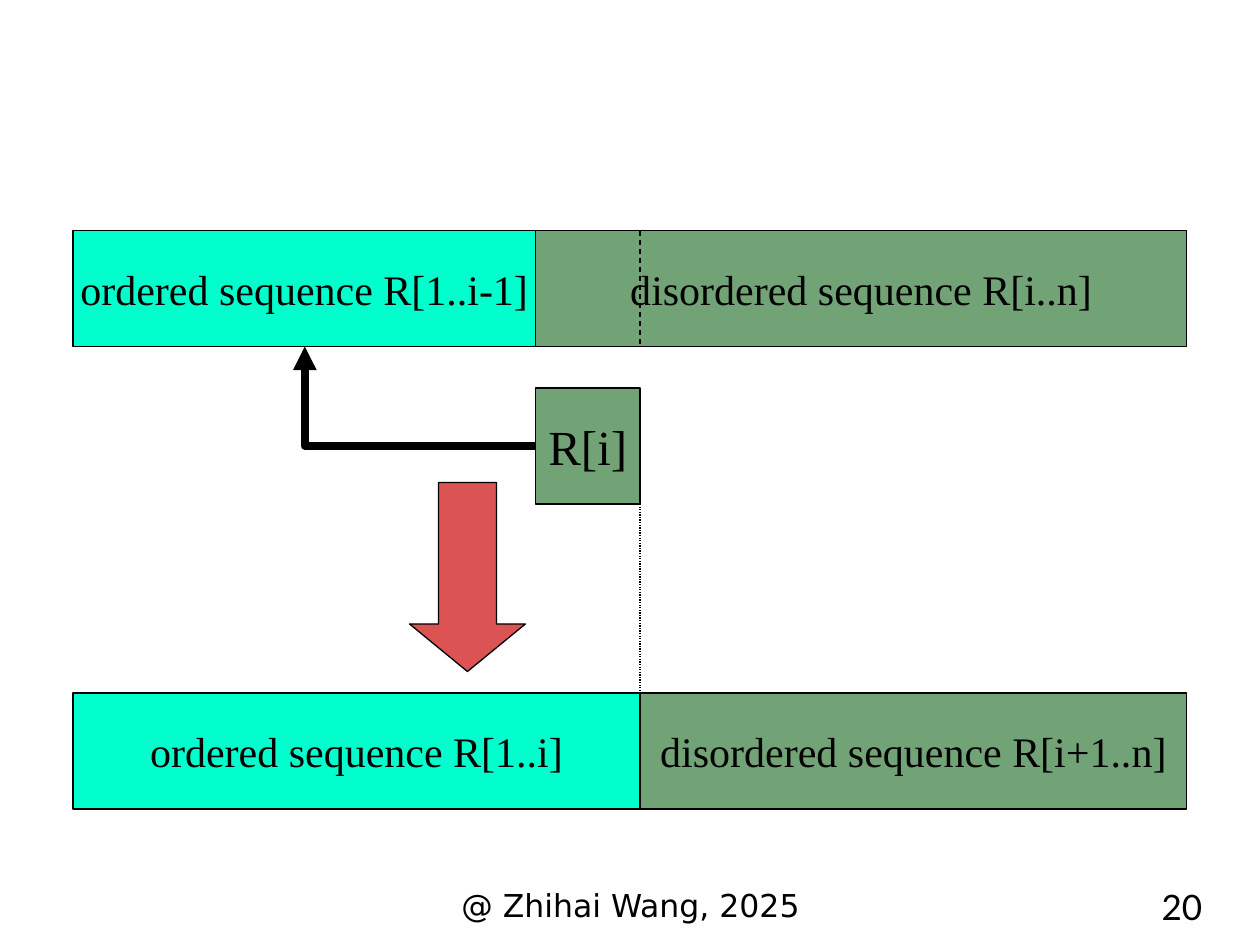
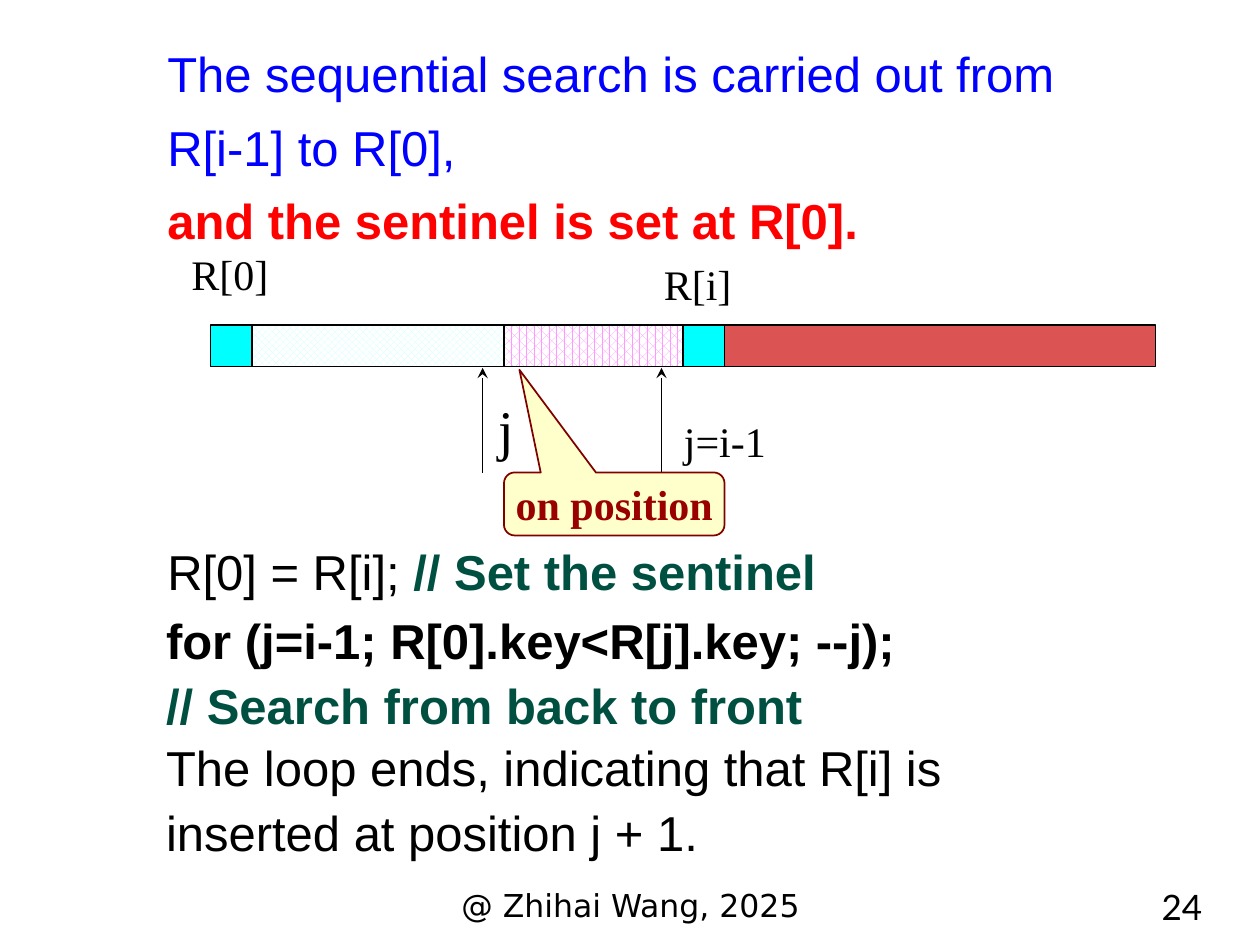
from lxml import etree
from pptx import Presentation
from pptx.dml.color import RGBColor
from pptx.enum.dml import MSO_LINE, MSO_PATTERN
from pptx.enum.shapes import MSO_CONNECTOR as CONN, MSO_SHAPE as SHAPE
from pptx.enum.text import MSO_ANCHOR as ANCHOR, MSO_AUTO_SIZE as AUTO, PP_ALIGN as ALIGN
from pptx.oxml.ns import qn
from pptx.util import Emu, Pt

PX = 9144  # 100 px to the inch

BLACK = RGBColor(0x00, 0x00, 0x00)
WHITE = RGBColor(0xFF, 0xFF, 0xFF)
BLUE = RGBColor(0x00, 0x00, 0xFF)
RED = RGBColor(0xFF, 0x00, 0x00)
MINT = RGBColor(0x00, 0xFF, 0xCC)
SAGE = RGBColor(0x72, 0xA3, 0x76)
BRICK = RGBColor(0xDB, 0x53, 0x53)
CYAN = RGBColor(0x00, 0xFF, 0xFF)
PALE_CYAN = RGBColor(0xCC, 0xFF, 0xFF)
PINK = RGBColor(0xFF, 0x99, 0xFF)
YELLOW = RGBColor(0xFF, 0xFF, 0x99)
MAROON = RGBColor(0x80, 0x00, 0x00)
DARK_RED = RGBColor(0x99, 0x00, 0x00)
COMMENT = RGBColor(0x00, 0x50, 0x42)

SERIF, SANS = "Times New Roman", "Arial"
FOOTER = "@ Zhihai Wang, 2025"

# Sequence bars: left, top, height, then (width, fill, text) of each segment
BEFORE = (58, 183, 92, [(367, MINT, "ordered sequence R[1..i-1]"),
                        (517, SAGE, "disordered sequence R[i..n]")])
AFTER = (58, 550, 92, [(450, MINT, "ordered sequence R[1..i]"),
                       (434, SAGE, "disordered sequence R[i+1..n]")])
SEARCH = (167, 258, 33, [(33, CYAN, ""),
                         (200, (MSO_PATTERN.LARGE_CHECKER_BOARD, PALE_CYAN), ""),
                         (142, (MSO_PATTERN.PERCENT_60, PINK), ""),
                         (33, CYAN, ""),
                         (342, BRICK, "")])

# Text blocks: box, line spacing, wrap, paragraphs of (text, colour, bold) runs
BLOCKS = [
    ((123, 18, 743, 187), 1.25, True, [
        [("The sequential search is carried out from R[i-1] to R[0],", BLUE, False)],
        [("and the sentinel is set at R[0].", RED, True)]]),
    ((123, 406, 783, 76), 1.4, True, [
        [("R[0] = R[i]; ", BLACK, False), ("// Set the sentinel", COMMENT, True)]]),
    ((122, 475, 779, 114), 1.1, True, [
        [("for (j=i-1; R[0].key<R[j].key; --j);", BLACK, True)],
        [("// Search from back to front", COMMENT, True)]]),
    ((122, 576, 647, 114), 1.1, False, [
        [("The loop ends, indicating that R[i] is", BLACK, False)],
        [("inserted at position j + 1.", BLACK, False)]]),
]

# Labels around the search bar: box, text, size
LABELS = [((142, 192, 92, 50), "R[0]", 24), ((517, 200, 74, 50), "R[i]", 24),
          ((386, 308, 64, 64), "j", 32), ((533, 325, 106, 50), "j=i-1", 24)]
POINTERS = [383, 525]


def emu(*lengths):
    return [Emu(n * PX) for n in lengths]


def write(tf, paragraphs, size=24, font=SERIF, align=ALIGN.LEFT, spacing=None,
          wrap=True, anchor=ANCHOR.TOP):
    """Fill a text frame with paragraphs of (text, colour, bold) runs."""
    if isinstance(paragraphs, str):
        paragraphs = [[(paragraphs, BLACK, False)]]
    tf.word_wrap = wrap
    tf.vertical_anchor = anchor
    for i, runs in enumerate(paragraphs):
        p = tf.add_paragraph() if i else tf.paragraphs[0]
        p.alignment = align
        if spacing:
            p.line_spacing = spacing
        for text, color, bold in runs:
            r = p.add_run()
            r.text = text
            r.font.name, r.font.size, r.font.bold = font, Pt(size), bold
            r.font.color.rgb = color


def add_text(s, box, text, grow=True, **fmt):
    tf = s.shapes.add_textbox(*emu(*box)).text_frame
    write(tf, text, **fmt)
    if grow:
        tf.auto_size = AUTO.SHAPE_TO_FIT_TEXT


def add_box(s, box, fill, text="", kind=SHAPE.RECTANGLE, line=BLACK, weight=0.75, size=24):
    sp = s.shapes.add_shape(kind, *emu(*box))
    sp.shadow.inherit = False
    if isinstance(fill, RGBColor):
        sp.fill.solid()
        sp.fill.fore_color.rgb = fill
    else:
        sp.fill.patterned()
        sp.fill.pattern, sp.fill.fore_color.rgb = fill
        sp.fill.back_color.rgb = WHITE
    sp.line.color.rgb = line
    sp.line.width = Pt(weight)
    if text:
        write(sp.text_frame, text, size=size, align=ALIGN.CENTER, wrap=False,
              anchor=ANCHOR.MIDDLE)
    return sp


def add_bar(s, left, top, height, segments):
    for width, fill, text in segments:
        add_box(s, (left, top, width, height), fill, text)
        left += width


def add_line(s, start, end, weight=0.75, dash=None, arrow=None, kind=CONN.STRAIGHT):
    cx = s.shapes.add_connector(kind, *emu(*start, *end))
    cx.line.color.rgb = BLACK
    cx.line.width = Pt(weight)
    if dash:
        cx.line.dash_style = dash
    sp_pr = cx._element.spPr
    if arrow:
        etree.SubElement(sp_pr.find(qn("a:ln")), qn("a:tailEnd")).set("type", arrow)
    etree.SubElement(sp_pr, qn("a:effectLst"))
    return cx


def new_slide(prs, number):
    s = prs.slides.add_slide(prs.slide_layouts[6])
    add_text(s, (342, 698, 317, 39), FOOTER, grow=False, size=18, font="DejaVu Sans",
             align=ALIGN.CENTER)
    add_text(s, (811, 698, 153, 39), str(number), grow=False, size=20, font="Lato",
             align=ALIGN.RIGHT)
    return s


def insertion_slide(prs):
    s = new_slide(prs, 20)
    add_bar(s, *BEFORE)
    add_bar(s, *AFTER)
    add_box(s, (425, 308, 83, 92), SAGE, "R[i]", size=28)

    # One-bend arrow from R[i] up into the ordered part
    cx = add_line(s, (425, 354), (242, 275), weight=4.5, arrow="triangle", kind=CONN.ELBOW)
    cx._element.spPr.find(qn("a:prstGeom")).set("prst", "bentConnector2")

    sp = add_box(s, (325, 383, 92, 150), BRICK, kind=SHAPE.DOWN_ARROW)
    sp.adjustments[0], sp.adjustments[1] = 0.5, 0.41

    # Right edge of R[i] carried through both bars
    add_line(s, (508, 183), (508, 275), dash=MSO_LINE.DASH)
    add_line(s, (508, 400), (508, 550), dash=MSO_LINE.ROUND_DOT)


def search_slide(prs):
    s = new_slide(prs, 24)
    for box, spacing, wrap, paragraphs in BLOCKS:
        add_text(s, box, paragraphs, size=28, font=SANS, spacing=spacing, wrap=wrap)
    add_bar(s, *SEARCH)
    for x in POINTERS:
        add_line(s, (x, 375), (x, 292), arrow="stealth")
    for box, text, size in LABELS:
        add_text(s, box, text, size=size)

    # Half-transparent callout on the insert position
    sp = add_box(s, (400, 375, 175, 50), YELLOW, [[("on position", DARK_RED, True)]],
                 kind=SHAPE.ROUNDED_RECTANGULAR_CALLOUT, line=MAROON, weight=1)
    for i, value in enumerate((-0.43, -2.13, 0.17)):
        sp.adjustments[i] = value
    color = sp._element.spPr.find(qn("a:solidFill")).find(qn("a:srgbClr"))
    etree.SubElement(color, qn("a:alpha")).set("val", "50000")


def main():
    prs = Presentation()
    prs.slide_width, prs.slide_height = emu(1000, 750)
    insertion_slide(prs)
    search_slide(prs)
    prs.save("out.pptx")


if __name__ == "__main__":
    main()
